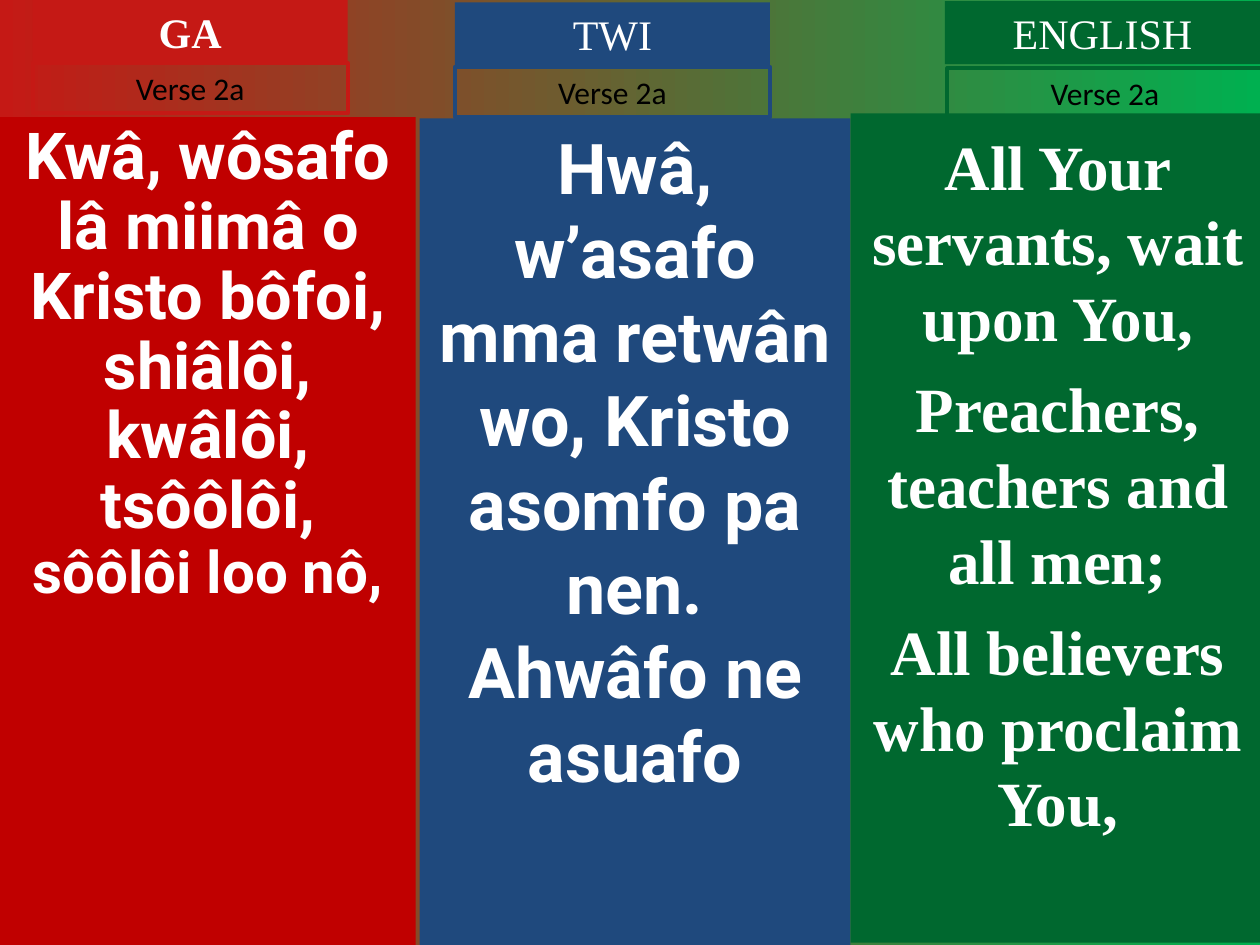
from dataclasses import dataclass

from pptx import Presentation
from pptx.dml.color import RGBColor
from pptx.enum.shapes import MSO_SHAPE
from pptx.enum.text import MSO_ANCHOR, PP_ALIGN
from pptx.util import Pt

RECT = MSO_SHAPE.RECTANGLE
TOP = MSO_ANCHOR.TOP
CENTER = PP_ALIGN.CENTER


@dataclass(frozen=True)
class Theme:
    red: str = "C51915"
    crimson: str = "C00000"
    blue: str = "1F497D"
    green: str = "00682F"
    bright: str = "00B050"
    white: str = "FFFFFF"
    black: str = "000000"
    serif: str = "Times New Roman"
    sans: str = "Roboto"
    label: str = "Calibri"
    head: float = 24
    verse: float = 18
    ga: float = 37
    ga_small: float = 33.3
    twi: float = 40
    english: float = 36


class Deck:
    def __init__(self, theme):
        self.theme = theme
        self.prs = Presentation()
        self.prs.slide_width, self.prs.slide_height = Pt(720), Pt(540)
        self.slide = self.prs.slides.add_slide(self.prs.slide_layouts[6])

    def backdrop(self, start, end):
        fill = self.slide.background.fill
        fill.gradient()
        fill.gradient_angle = 0
        for stop, place, color in zip(fill.gradient_stops, (0, 1), (start, end)):
            stop.position = place
            stop.color.rgb = RGBColor.from_string(color)

    def box(self, area, fill=None, line=None):
        shape = self.slide.shapes.add_shape(RECT, *map(Pt, area))
        shape.shadow.inherit = False
        if fill:
            shape.fill.solid()
            shape.fill.fore_color.rgb = RGBColor.from_string(fill)
        else:
            shape.fill.background()
        if line:
            shape.line.color.rgb = RGBColor.from_string(line)
            shape.line.width = Pt(2.25)
        else:
            shape.line.fill.background()
        return shape

    def label(self, shape, text, face, size, color, bold=False, gap=0, pitch=None):
        """Fill a shape with centred paragraphs, one for each line of text."""
        frame = shape.text_frame
        frame.word_wrap = True
        frame.vertical_anchor = TOP
        frame.text = text
        for index, para in enumerate(frame.paragraphs):
            para.alignment = CENTER
            para.space_before = Pt(gap if index else 0)
            if pitch:
                para.line_spacing = pitch
            for run in para.runs:
                self.style(run, face, size, color, bold)
        return frame

    def style(self, run, face, size, color, bold):
        font = run.font
        font.name, font.size, font.bold = face, Pt(size), bold
        font.color.rgb = RGBColor.from_string(color)

    def lyrics(self, area, fill, text, face, size, **spacing):
        shape = self.box(area, fill=fill)
        return self.label(shape, text, face, size, self.theme.white, True, **spacing)

    def header(self, left, top, color, title, bold=False):
        look = self.theme
        shape = self.box((left, top, 180, 36), fill=color)
        self.label(shape, title, look.serif, look.head, look.white, bold)

    def verse(self, left, top, color):
        look = self.theme
        shape = self.box((left, top, 180, 28.8), line=color)
        self.label(shape, "Verse 2a", look.label, look.verse, look.black)


def main():
    look = Theme()
    deck = Deck(look)
    deck.backdrop(look.red, look.bright)

    ga = deck.lyrics(
        (0, 67, 237.6, 473), look.crimson,
        "Kwâ, wôsafo lâ miimâ o\nKristo bôfoi, shiâlôi,\nkwâlôi, tsôôlôi, ",
        look.sans, look.ga, pitch=0.9)
    ending = ga.paragraphs[-1].add_run()
    ending.text = "sôôlôi loo nô,"
    deck.style(ending, look.sans, look.ga_small, look.white, True)

    deck.lyrics(
        (239.8, 67.7, 246.2, 472.3), look.blue,
        "Hwâ, w’asafo mma retwân wo, Kristo asomfo pa nen.\nAhwâfo ne asuafo",
        look.sans, look.twi)

    english = deck.lyrics(
        (486, 64.8, 236.9, 473.8), look.green,
        "All Your servants, wait upon You,\nPreachers, teachers and all men;\n"
        "All believers who proclaim You,",
        look.serif, look.english, gap=9)
    english.margin_top = Pt(8)

    deck.header(18.7, 0, look.red, "GA", bold=True)
    deck.header(260, 1.4, look.blue, "TWI")
    deck.header(540, 0.7, look.green, "ENGLISH")
    deck.verse(18.7, 36, look.red)
    deck.verse(260, 38.2, look.blue)
    deck.verse(541.4, 38.9, look.green)

    deck.prs.save("out.pptx")


if __name__ == "__main__":
    main()
